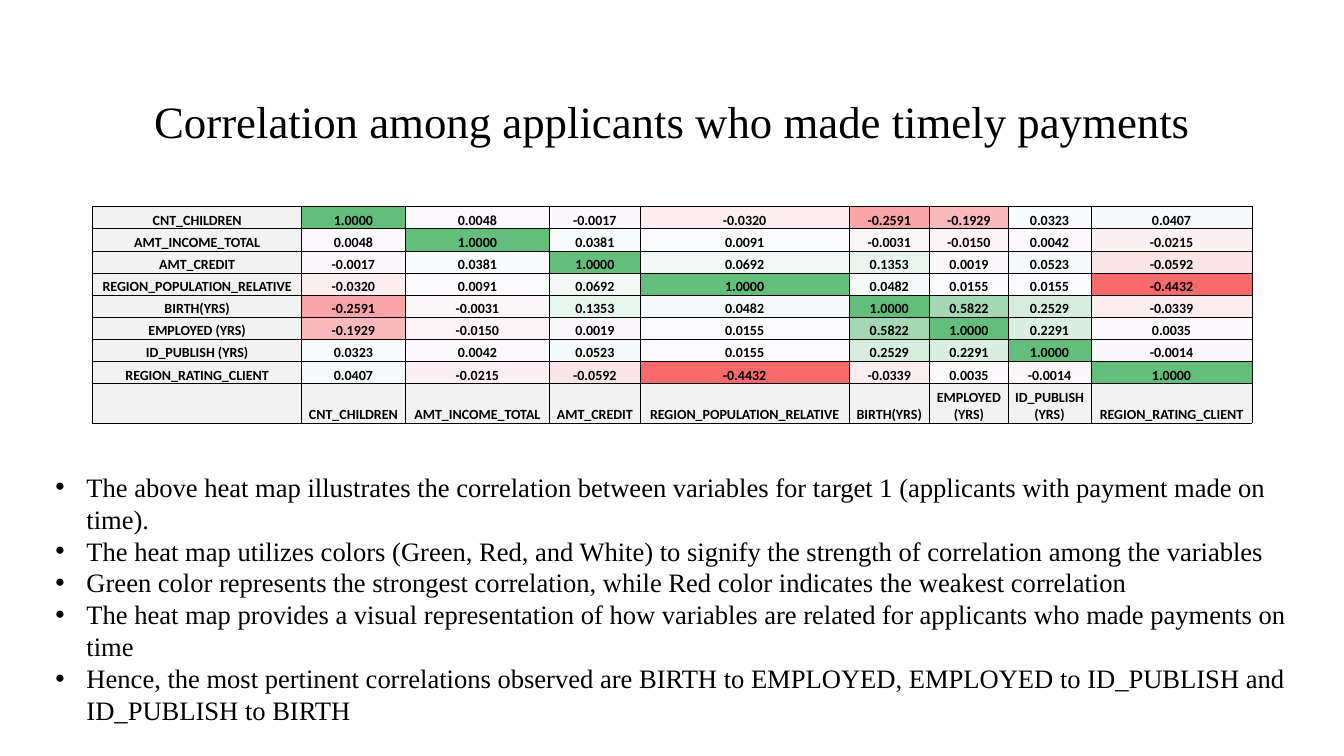
from lxml.etree import SubElement
from pptx import Presentation
from pptx.dml.color import RGBColor
from pptx.enum.text import MSO_ANCHOR, MSO_AUTO_SIZE, PP_ALIGN
from pptx.oxml.ns import qn
from pptx.util import Inches, Pt

COLORS = {"text": "000000", "label": "F2F2F2", "border": "000000",
          "low": "F8696B", "middle": "FCFCFF", "high": "63BE7B"}
LOWEST, MEDIAN, HIGHEST = -0.4432, 0.0123, 1.0

VARIABLES = ["CNT_CHILDREN", "AMT_INCOME_TOTAL", "AMT_CREDIT",
             "REGION_POPULATION_RELATIVE", "BIRTH(YRS)", "EMPLOYED (YRS)",
             "ID_PUBLISH (YRS)", "REGION_RATING_CLIENT"]
# Lower half of the symmetric correlation matrix
CORRELATIONS = [
    [1],
    [0.0048, 1],
    [-0.0017, 0.0381, 1],
    [-0.0320, 0.0091, 0.0692, 1],
    [-0.2591, -0.0031, 0.1353, 0.0482, 1],
    [-0.1929, -0.0150, 0.0019, 0.0155, 0.5822, 1],
    [0.0323, 0.0042, 0.0523, 0.0155, 0.2529, 0.2291, 1],
    [0.0407, -0.0215, -0.0592, -0.4432, -0.0339, 0.0035, -0.0014, 1],
]
COLUMN_WIDTHS = [2.07, 1.03, 1.43, 0.9, 2.07, 0.8, 0.78, 0.82, 1.6]
ROW_HEIGHTS = [0.22] * len(VARIABLES) + [0.39]

FINDINGS = [
    "The above heat map illustrates the correlation between variables for target 1 "
    "(applicants with payment made on time).",
    "The heat map utilizes colors (Green, Red, and White) to signify the strength of "
    "correlation among the variables",
    "Green color represents the strongest correlation, while Red color indicates the "
    "weakest correlation",
    "The heat map provides a visual representation of how variables are related for "
    "applicants who made payments on time",
    "Hence, the most pertinent correlations observed are BIRTH to EMPLOYED, EMPLOYED to "
    "ID_PUBLISH and ID_PUBLISH to BIRTH",
]


def heat_color(value):
    """Blend from the middle colour towards the low or high end."""
    end, limit = ("low", LOWEST) if value < MEDIAN else ("high", HIGHEST)
    share = (value - MEDIAN) / (limit - MEDIAN)
    pairs = zip(RGBColor.from_string(COLORS["middle"]), RGBColor.from_string(COLORS[end]))
    return RGBColor(*(int(start + (stop - start) * share) for start, stop in pairs))


def write_text(para, text, *, font, size, bold=False, align=None, spacing=None):
    para.alignment = align
    para.line_spacing = spacing
    span = para.add_run()
    span.text = text
    span.font.name = font
    span.font.size = Pt(size)
    span.font.bold = bold
    span.font.color.rgb = RGBColor.from_string(COLORS["text"])


class SlideBuilder:
    text_font = "Times New Roman"
    table_font = "Calibri"

    def __init__(self, page):
        self.page = page

    def text_frame(self, left, top, width, height):
        box = self.page.shapes.add_textbox(
            Inches(left), Inches(top), Inches(width), Inches(height))
        box.text_frame.word_wrap = True
        return box.text_frame

    def title(self, text, *place):
        frame = self.text_frame(*place)
        frame.vertical_anchor = MSO_ANCHOR.MIDDLE
        write_text(frame.paragraphs[0], text, font=self.text_font, size=32,
                   align=PP_ALIGN.CENTER, spacing=0.9)

    def bullets(self, lines, *place):
        frame = self.text_frame(*place)
        frame.auto_size = MSO_AUTO_SIZE.SHAPE_TO_FIT_TEXT
        for index, line in enumerate(lines):
            para = frame.add_paragraph() if index else frame.paragraphs[0]
            write_text(para, line, font=self.text_font, size=19)
            properties = para._p.get_or_add_pPr()
            properties.set("marL", str(Inches(0.31)))
            properties.set("indent", str(Inches(-0.31)))
            SubElement(properties, qn("a:buFont"), typeface="Arial")
            SubElement(properties, qn("a:buChar"), char="•")

    def cell(self, cell, text, fill):
        cell.margin_left = cell.margin_right = cell.margin_top = Inches(0.01)
        cell.margin_bottom = 0
        cell.vertical_anchor = MSO_ANCHOR.BOTTOM
        write_text(cell.text_frame.paragraphs[0], text, font=self.table_font, size=10,
                   bold=True, align=PP_ALIGN.CENTER)
        # Borders go before the fill
        properties = cell._tc.get_or_add_tcPr()
        for side in ("lnL", "lnR", "lnT", "lnB"):
            line = SubElement(properties, qn(f"a:{side}"), w=str(Pt(0.5)))
            solid = SubElement(line, qn("a:solidFill"))
            SubElement(solid, qn("a:srgbClr"), val=COLORS["border"])
        cell.fill.solid()
        cell.fill.fore_color.rgb = fill

    def heat_map(self, left, top):
        table = self.page.shapes.add_table(
            len(ROW_HEIGHTS), len(COLUMN_WIDTHS), Inches(left), Inches(top),
            Inches(sum(COLUMN_WIDTHS)), Inches(sum(ROW_HEIGHTS))).table
        table.first_row = table.horz_banding = False
        for column, width in zip(table.columns, COLUMN_WIDTHS):
            column.width = Inches(width)
        for row, height in zip(table.rows, ROW_HEIGHTS):
            row.height = Inches(height)

        # Variable names down the left and along the bottom
        label_fill = RGBColor.from_string(COLORS["label"])
        count = len(VARIABLES)
        self.cell(table.cell(count, 0), "", label_fill)
        for index, name in enumerate(VARIABLES):
            self.cell(table.cell(index, 0), name, label_fill)
            self.cell(table.cell(count, index + 1), name, label_fill)

        # Correlation values
        for row in range(count):
            for column in range(count):
                value = CORRELATIONS[max(row, column)][min(row, column)]
                self.cell(table.cell(row, column + 1), f"{value:.4f}", heat_color(value))


def main():
    deck = Presentation()
    deck.slide_width, deck.slide_height = Inches(13.33), Inches(7.5)
    builder = SlideBuilder(deck.slides.add_slide(deck.slide_layouts[6]))
    builder.title("Correlation among applicants who made timely payments",
                  0.92, 0.61, 11.5, 1.24)
    builder.heat_map(0.92, 2.05)
    builder.bullets(FINDINGS, 0.45, 4.62, 12.43, 2.66)
    deck.save("out.pptx")


if __name__ == "__main__":
    main()
